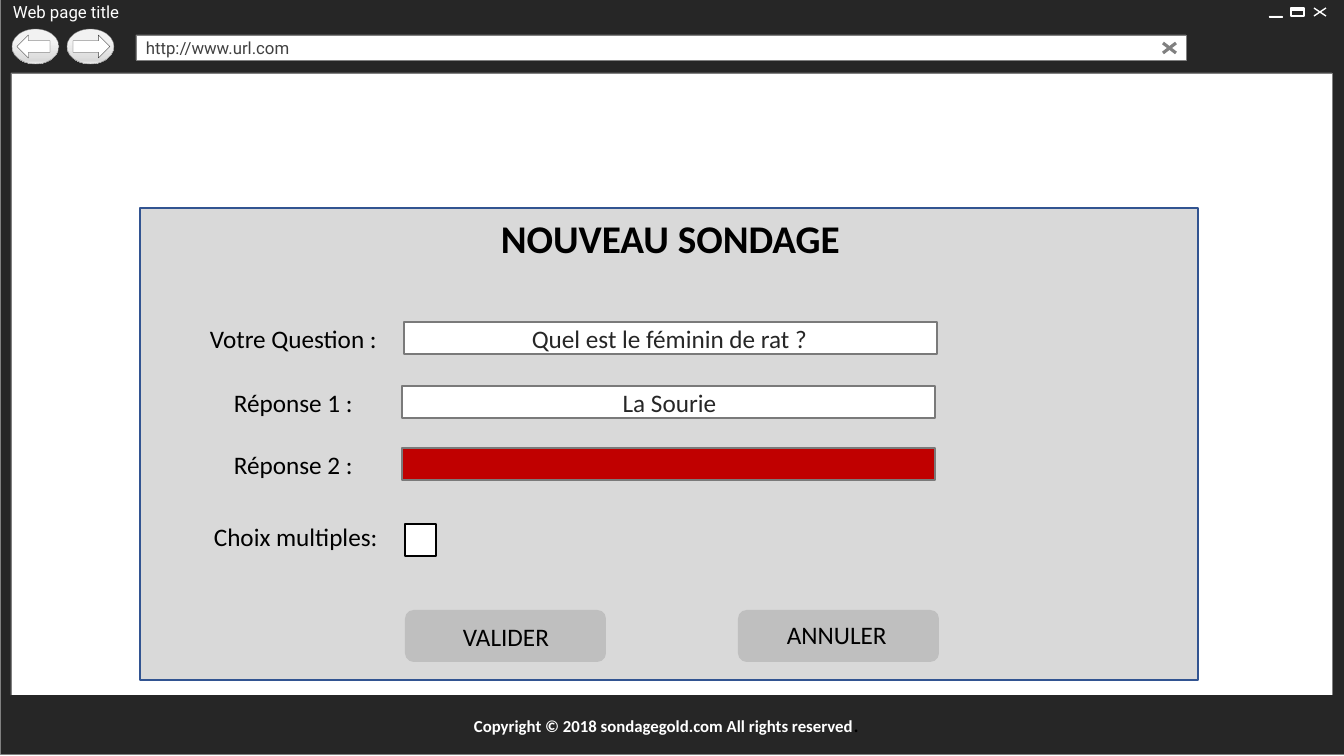
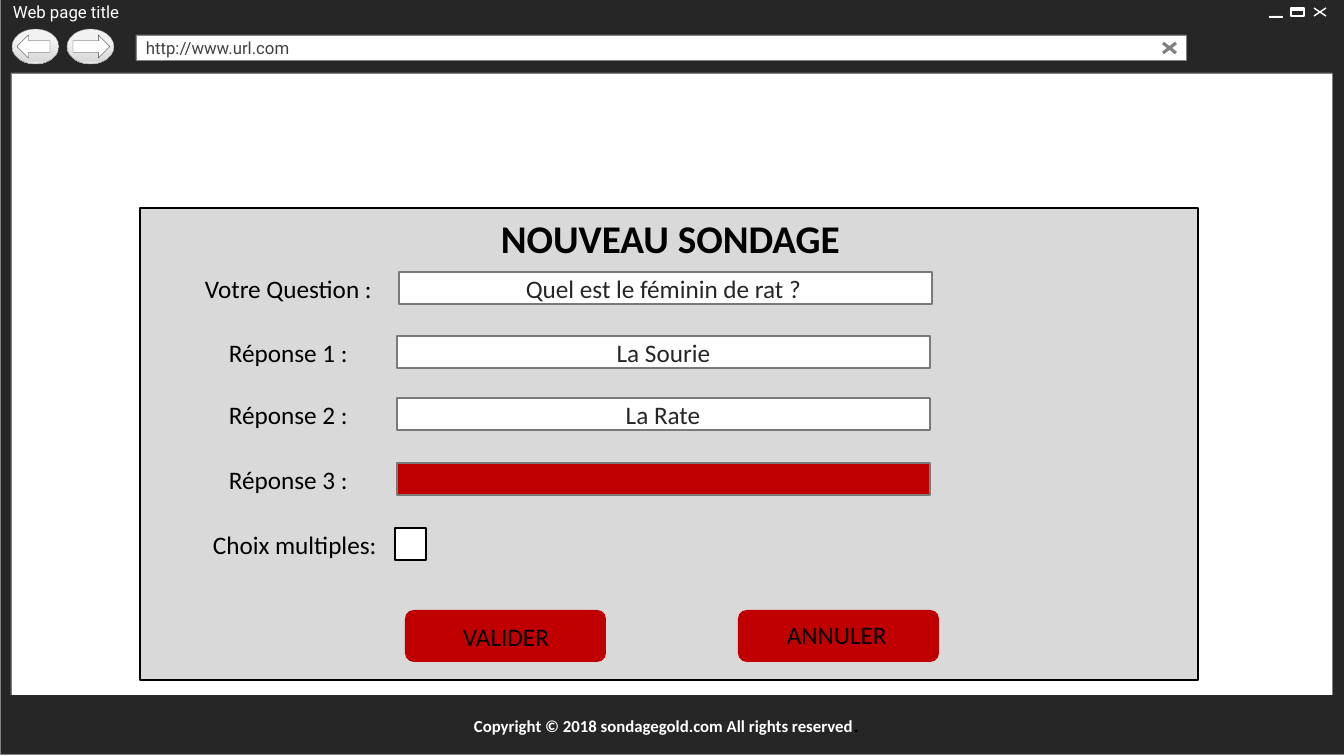
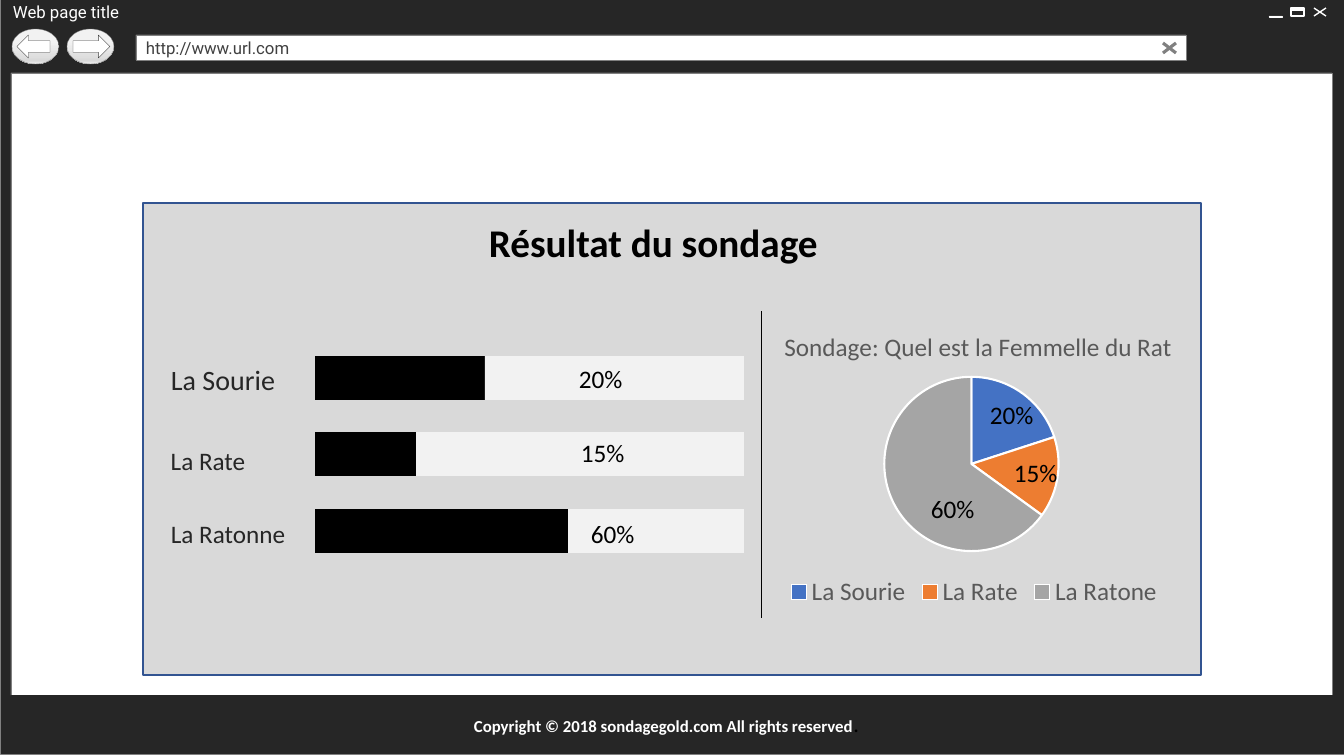
from copy import deepcopy
from dataclasses import dataclass
from typing import Optional

from lxml.etree import SubElement
from pptx import Presentation
from pptx.chart.data import CategoryChartData
from pptx.dml.color import RGBColor
from pptx.enum.chart import XL_CHART_TYPE as ChartType, XL_LEGEND_POSITION as LegendPosition
from pptx.enum.shapes import MSO_CONNECTOR as Connector, MSO_SHAPE as Preset
from pptx.enum.text import MSO_ANCHOR as Anchor, MSO_AUTO_SIZE as AutoSize, PP_ALIGN as Align
from pptx.oxml import parse_xml
from pptx.oxml.ns import nsdecls, qn
from pptx.util import Emu, Pt

SCALE = 914400 / 100.8


@dataclass(frozen=True)
class Theme:
    body_font: str = "Calibri"
    browser_font: str = "Roboto"
    white: str = "FFFFFF"
    black: str = "000000"
    chrome: str = "262626"
    chrome_edge: str = "808080"
    glyph_fill: str = "919191"
    dark_grey: str = "404040"
    panel: str = "D9D9D9"
    panel_edge: str = "325491"
    field_edge: str = "7A7A7A"
    alert: str = "C00000"
    button: str = "BFBFBF"
    track: str = "F2F2F2"
    chart_text: str = "595959"
    slices: tuple[str, ...] = ("4472C4", "ED7D31", "A5A5A5")
    small: int = 12
    stop: int = 16
    body: int = 18
    large: int = 20
    heading: int = 28


THEME = Theme()


@dataclass(frozen=True)
class Box:
    left: int
    top: int
    width: int
    height: int

    def emu(self) -> tuple[Emu, Emu, Emu, Emu]:
        return px(self.left), px(self.top), px(self.width), px(self.height)


@dataclass(frozen=True)
class Style:
    size: int = THEME.body
    color: str = THEME.black
    font: str = THEME.body_font
    bold: bool = False


@dataclass(frozen=True)
class Row:
    label: str
    top: int
    label_width: int
    entry: str = ""
    entry_width: int = 0
    indent: int = 24
    field_shift: int = -2


@dataclass(frozen=True)
class Form:
    rows: tuple[Row, ...]
    label_left: int
    field_left: int
    entry_center: int
    choice_label: Box
    checkbox: Box
    edge: str
    button_fill: str


@dataclass(frozen=True)
class Result:
    name: str
    name_box: Box
    name_size: int
    top: int
    bar_width: int
    track_left: int
    percent: str
    bar_label: tuple[int, int]
    slice_label: tuple[int, int]


ENTRY = Style(color=THEME.chrome)
HEADING = Style(THEME.heading, bold=True)
BUTTONS = (
    ("VALIDER", 405, Box(453, 616, 110, 40)),
    ("ANNULER", 738, Box(777, 614, 120, 40)),
)


def px(length: float) -> Emu:
    return Emu(round(length * SCALE))


def rgb(color: str) -> RGBColor:
    return RGBColor.from_string(color)


def style_run(run, style: Style) -> None:
    run.font.name = style.font
    run.font.size = Pt(style.size)
    run.font.bold = style.bold
    run.font.color.rgb = rgb(style.color)


def add_block(slide, box: Box, fill: Optional[str] = None, edge: Optional[str] = None,
              weight: float = 1, preset=Preset.RECTANGLE):
    block = slide.shapes.add_shape(preset, *box.emu())
    block.shadow.inherit = False
    if fill:
        block.fill.solid()
        block.fill.fore_color.rgb = rgb(fill)
    else:
        block.fill.background()
    if edge:
        block.line.color.rgb = rgb(edge)
        block.line.width = Pt(weight)
    else:
        block.line.fill.background()
    return block


def add_text(slide, box: Box, text: str, style: Style = Style(), wrap: bool = True,
             align=Align.LEFT):
    frame = slide.shapes.add_textbox(*box.emu()).text_frame
    frame.text = text
    frame.word_wrap = wrap
    frame.auto_size = AutoSize.SHAPE_TO_FIT_TEXT
    paragraph = frame.paragraphs[0]
    paragraph.alignment = align
    style_run(paragraph.runs[0], style)
    return frame


def add_line(slide, start: tuple[int, int], end: tuple[int, int], color: str,
             weight: float) -> None:
    line = slide.shapes.add_connector(Connector.STRAIGHT, *map(px, start + end))
    line.line.color.rgb = rgb(color)
    line.line.width = Pt(weight)
    SubElement(line.element.spPr, qn("a:effectLst"))


def add_cross(slide, box: Box, color: str, weight: float) -> None:
    right, bottom = box.left + box.width, box.top + box.height
    add_line(slide, (box.left, box.top), (right, bottom), color, weight)
    add_line(slide, (box.left, bottom), (right, box.top), color, weight)


def add_nav_button(slide, left: int, arrow_box: Box, arrow) -> None:
    disc = add_block(slide, Box(left, 29, 47, 35), THEME.track, THEME.chrome_edge, 0.25,
                     Preset.OVAL)
    disc.fill.gradient()
    disc.fill.gradient_angle = 270
    stop_list = disc.element.spPr.find(".//" + qn("a:gsLst"))
    stop_list.append(deepcopy(stop_list[-1]))
    shades = ((0.36, THEME.track), (0.91, THEME.panel), (1.0, THEME.track))
    for stop, (position, color) in zip(disc.fill.gradient_stops, shades):
        stop.position = position
        stop.color.rgb = rgb(color)
    add_block(slide, arrow_box, THEME.white, THEME.dark_grey, 0.25, arrow)


def add_browser(slide) -> None:
    add_block(slide, Box(0, -2, 1344, 756), THEME.chrome, THEME.chrome_edge, 0.25)
    page_title = add_text(slide, Box(3, 0, 172, 25), "Web page title",
                          Style(THEME.small, THEME.white, THEME.browser_font), wrap=False)
    page_title.vertical_anchor = Anchor.MIDDLE
    page_title.margin_top, page_title.margin_bottom = px(2), px(3)
    add_nav_button(slide, 12, Box(17, 35, 33, 23), Preset.LEFT_ARROW)
    add_nav_button(slide, 67, Box(73, 35, 37, 23), Preset.RIGHT_ARROW)
    add_cross(slide, Box(1314, 8, 12, 8), THEME.white, 1)
    add_block(slide, Box(1291, 9, 13, 1), THEME.glyph_fill, THEME.white, 0.25)
    add_block(slide, Box(1291, 8, 13, 8), None, THEME.white)
    add_block(slide, Box(1269, 16, 13, 1), THEME.glyph_fill, THEME.white, 0.25)
    add_block(slide, Box(11, 73, 1321, 668), THEME.white, THEME.chrome_edge, 0.25)

    address = add_block(slide, Box(136, 35, 1050, 25), THEME.white, THEME.chrome_edge, 0.25)
    address.text_frame.text = "http://www.url.com"
    address.text_frame.vertical_anchor = Anchor.MIDDLE
    url = address.text_frame.paragraphs[0]
    url.alignment = Align.LEFT
    style_run(url.runs[0], Style(THEME.small, THEME.dark_grey, THEME.browser_font))
    add_cross(slide, Box(1163, 43, 13, 10), THEME.chrome_edge, 2.25)

    add_block(slide, Box(11, 696, 1324, 48), THEME.chrome, THEME.chrome)
    copyright_line = add_text(slide, Box(464, 705, 418, 37),
                              "Copyright © 2018 sondagegold.com All rights reserved",
                              Style(THEME.small, THEME.white, bold=True))
    full_stop = copyright_line.paragraphs[0].add_run()
    full_stop.text = "."
    style_run(full_stop, Style(THEME.stop))


def draw_form(slide, form: Form) -> None:
    add_block(slide, Box(140, 208, 1058, 472), THEME.panel, form.edge)
    add_text(slide, Box(491, 209, 361, 57), "NOUVEAU SONDAGE", HEADING)
    for row in form.rows:
        add_text(slide, Box(form.label_left + row.indent, row.top, row.label_width, 40),
                 row.label)
        add_block(slide, Box(form.field_left + row.field_shift, row.top + 4, 533, 32),
                  THEME.white if row.entry else THEME.alert, THEME.field_edge)
        if row.entry:
            entry_left = form.entry_center - row.entry_width // 2
            add_text(slide, Box(entry_left, row.top, row.entry_width, 40), row.entry,
                     ENTRY, wrap=False, align=Align.CENTER)
    add_text(slide, form.choice_label, "Choix multiples:")
    add_block(slide, form.checkbox, THEME.white, THEME.black)
    for caption, left, caption_box in BUTTONS:
        add_block(slide, Box(left, 610, 201, 52), form.button_fill,
                  preset=Preset.ROUNDED_RECTANGLE)
        add_text(slide, caption_box, caption)


def set_layout(parent, index: int, **fractions: float) -> None:
    current = parent.find(qn("c:layout"))
    if current is not None:
        parent.remove(current)
    modes = "".join(f'<c:{axis}Mode val="edge"/>' for axis in "xy")
    sizes = "".join(f'<c:{key} val="{value}"/>' for key, value in fractions.items())
    target = '<c:layoutTarget val="inner"/>' if "w" in fractions else ""
    parent.insert(index, parse_xml(
        f'<c:layout {nsdecls("c")}><c:manualLayout>{target}{modes}{sizes}'
        "</c:manualLayout></c:layout>"))


def add_pie(slide, box: Box) -> None:
    votes = CategoryChartData()
    votes.categories = ["La Sourie", "La Rate", "La Ratone"]
    votes.add_series("Series 1", (20, 15, 65))
    chart = slide.shapes.add_chart(ChartType.PIE, *box.emu(), votes).chart
    chart.font.name = THEME.body_font
    chart.font.size = Pt(THEME.body)
    chart.font.color.rgb = rgb(THEME.chart_text)

    chart.has_title = True
    question = chart.chart_title.text_frame
    question.text = "Sondage: Quel est la Femmelle du Rat"
    style_run(question.paragraphs[0].runs[0], Style(color=THEME.chart_text))

    chart.has_legend = True
    chart.legend.position = LegendPosition.BOTTOM
    chart.legend.include_in_layout = False
    chart.legend.font.name = THEME.body_font
    chart.legend.font.size = Pt(THEME.body)
    chart.legend.font.color.rgb = rgb(THEME.chart_text)

    pie = chart.plots[0]
    pie.vary_by_categories = True
    for index, color in enumerate(THEME.slices):
        portion = pie.series[0].points[index].format
        portion.fill.solid()
        portion.fill.fore_color.rgb = rgb(color)
        portion.line.color.rgb = rgb(THEME.white)
        portion.line.width = Pt(1.5)

    set_layout(chart.element.find(".//" + qn("c:title")), 1, x=0.11, y=0.05)
    set_layout(chart.element.find(".//" + qn("c:plotArea")), 0, x=0.32, y=0.22, w=0.35, h=0.58)


def draw_results(slide, results: tuple[Result, ...]) -> None:
    track_right, bar_left, bar_height = 744, 315, 44
    add_block(slide, Box(143, 203, 1058, 472), THEME.panel, THEME.panel_edge)
    add_text(slide, Box(479, 213, 387, 57), "Résultat du sondage", HEADING)
    add_line(slide, (761, 311), (761, 618), THEME.black, 0.5)
    add_pie(slide, Box(725, 310, 498, 302))
    for result in results:
        add_text(slide, result.name_box, result.name,
                 Style(result.name_size, THEME.chrome), wrap=False, align=Align.CENTER)
        add_block(slide, Box(bar_left, result.top, result.bar_width, bar_height), THEME.black)
        add_block(slide, Box(result.track_left, result.top,
                             track_right - result.track_left, bar_height), THEME.track)
        for corner in (result.bar_label, result.slice_label):
            add_text(slide, Box(*corner, 165, 40), result.percent)


QUESTION, QUESTION_TEXT = "Votre Question :", "Quel est le féminin de rat ?"

FORMS = (
    Form(
        rows=(
            Row(QUESTION, 318, 195, QUESTION_TEXT, 299, 0, 0),
            Row("Réponse 1 :", 382, 146, "La Sourie", 115),
            Row("Réponse 2 :", 444, 152),
        ),
        label_left=200, field_left=404, entry_center=669,
        choice_label=Box(204, 516, 195, 40), checkbox=Box(405, 524, 31, 32),
        edge=THEME.panel_edge, button_fill=THEME.button,
    ),
    Form(
        rows=(
            Row(QUESTION, 268, 195, QUESTION_TEXT, 299, 0, 0),
            Row("Réponse 1 :", 332, 146, "La Sourie", 115),
            Row("Réponse 2 :", 394, 152, "La Rate", 96),
            Row("Réponse 3 :", 459, 152),
        ),
        label_left=195, field_left=399, entry_center=663,
        choice_label=Box(203, 524, 195, 40), checkbox=Box(395, 528, 31, 32),
        edge=THEME.black, button_fill=THEME.alert,
    ),
)

RESULTS = (
    Result("La Sourie", Box(160, 358, 126, 44), THEME.large, 356, 328, 485, "20%",
           (569, 358), (980, 394)),
    Result("La Rate", Box(160, 440, 96, 40), THEME.body, 432, 328, 416, "15%",
           (571, 432), (1004, 452)),
    Result("La Ratonne", Box(160, 513, 136, 40), THEME.body, 509, 261, 568, "60%",
           (581, 513), (921, 488)),
)


def main() -> None:
    deck = Presentation()
    deck.slide_width, deck.slide_height = px(1344), px(756)
    blank = deck.slide_layouts[6]
    for draw, content in ((draw_form, FORMS[0]), (draw_form, FORMS[1]),
                          (draw_results, RESULTS)):
        slide = deck.slides.add_slide(blank)
        add_browser(slide)
        draw(slide, content)
    deck.save("out.pptx")


main()
